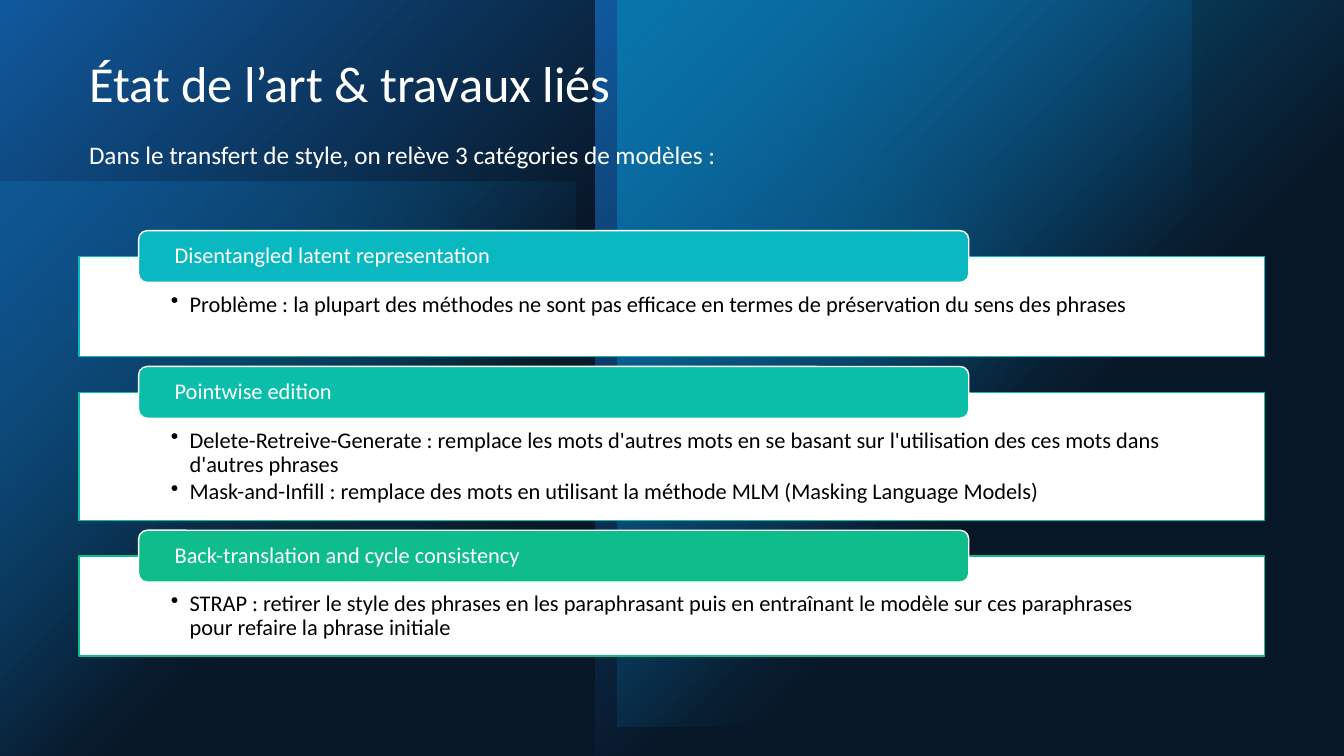
from lxml import etree
from pptx import Presentation
from pptx import util as u
from pptx.dml.color import RGBColor
from pptx.enum import shapes, text
from pptx.oxml import parse_xml
from pptx.oxml.ns import nsdecls, qn

Pt = u.Pt
FONT = "Calibri"
CARDS = [
    ("Disentangled latent representation", "09B8C0", 71.5, [
        "Problème : la plupart des méthodes ne sont pas efficace en termes de "
        "préservation du sens des phrases"]),
    ("Pointwise edition", "0BBEA9", 91.5, [
        "Delete-Retreive-Generate : remplace les mots d'autres mots en se basant sur "
        "l'utilisation des ces mots dans d'autres phrases",
        "Mask-and-Infill : remplace des mots en utilisant la méthode MLM "
        "(Masking Language Models)"]),
    ("Back-translation and cycle consistency", "0EBC8C", 71.5, [
        "STRAP : retirer le style des phrases en les paraphrasant puis en entraînant "
        "le modèle sur ces paraphrases pour refaire la phrase initiale"]),
]


def color(value):
    return RGBColor.from_string(value)


def add_box(s, kind, box, fill, line=None):
    sp = s.shapes.add_shape(kind, *map(Pt, box))
    sp.shadow.inherit = False
    sp.fill.solid()
    sp.fill.fore_color.rgb = color(fill)
    if line:
        sp.line.color.rgb = color(line)
        sp.line.width = Pt(1)
    else:
        sp.line.fill.background()
    return sp


def add_veil(s, kind, box, fill, opacity, soft=0):
    sp = add_box(s, kind, box, fill)
    srgb = sp.fill._xPr.find(qn("a:solidFill"))[0]
    etree.SubElement(srgb, qn("a:alpha"), val=str(opacity * 1000))
    if soft:
        effects = sp._element.spPr.find(qn("a:effectLst"))
        etree.SubElement(effects, qn("a:softEdge"), rad=str(Pt(soft)))


def add_glow(s, box, fill, opacity=100):
    sp = add_box(s, shapes.MSO_SHAPE.RECTANGLE, box, fill)
    solid = sp._element.spPr.find(qn("a:solidFill"))
    stops = "".join(
        f'<a:gs pos="{pos}000"><a:srgbClr val="{fill}">'
        f'<a:alpha val="{alpha}000"/></a:srgbClr></a:gs>'
        for pos, alpha in ((0, opacity), (60, 0)))
    solid.getparent().replace(solid, parse_xml(
        f'<a:gradFill {nsdecls("a")} rotWithShape="1"><a:gsLst>{stops}</a:gsLst>'
        '<a:path path="circle"><a:fillToRect r="100000" b="100000"/></a:path>'
        '</a:gradFill>'))


def add_background(s):
    s.background.fill.solid()
    s.background.fill.fore_color.rgb = color("000000")
    oval = shapes.MSO_SHAPE.OVAL
    add_glow(s, (0, 129.5, 411, 411), "009DD9", 60)
    add_veil(s, oval, (453, 31, 340, 340), "09B8C0", 60, 100)
    add_veil(s, oval, (0, 40, 500, 500), "09B8C0", 20, 100)
    for left in (0, 425.5):
        add_glow(s, (left, 0, 425.5, 540), "0F6FC6")
    add_glow(s, (441, 0, 519, 519), "009DD9")
    add_veil(s, shapes.MSO_SHAPE.RECTANGLE, (0, 0, 960, 540), "153A63", 40)


def write(tf, lines, size, fill, spacing=None, after=0, bullet=False):
    for i, line in enumerate(lines):
        p = tf.add_paragraph() if i else tf.paragraphs[0]
        p.text = line
        p.alignment = text.PP_ALIGN.LEFT
        p.line_spacing = spacing
        p.space_after = Pt(after)
        p.font.name = FONT
        p.font.size = Pt(size)
        p.font.color.rgb = color(fill)
        if bullet:
            pPr = p._p.get_or_add_pPr()
            pPr.set("marL", str(Pt(13.5)))
            pPr.set("indent", str(-Pt(13.5)))
            mark = parse_xml(f'<a:buChar {nsdecls("a")} char="•"/>')
            pPr.insert_element_before(mark, "a:tabLst", "a:defRPr", "a:extLst")


def set_frame(tf, anchor, side, top, bottom):
    tf.word_wrap = True
    tf.vertical_anchor = anchor
    tf.margin_left = tf.margin_right = Pt(side)
    tf.margin_top, tf.margin_bottom = Pt(top), Pt(bottom)


def add_title(s, title):
    sp = s.shapes.title
    sp.left, sp.top, sp.width, sp.height = map(Pt, (56.5, 36.5, 489, 50))
    set_frame(sp.text_frame, text.MSO_ANCHOR.MIDDLE, 7.2, 3.6, 3.6)
    write(sp.text_frame, [title], 36, "FFFFFF", 0.9)
    s.shapes._spTree.append(sp._element)


def add_intro(s, intro):
    tf = s.shapes.add_textbox(*map(Pt, (56.5, 96, 527, 51))).text_frame
    tf.word_wrap = False
    write(tf, [intro], 18, "FFFFFF")


def add_card(s, top, height, heading, accent, bullets):
    card = add_box(s, shapes.MSO_SHAPE.RECTANGLE, (56.5, top, 847, height), "FFFFFF", accent)
    set_frame(card.text_frame, text.MSO_ANCHOR.TOP, 65.5, 26, 8.5)
    write(card.text_frame, bullets, 16, "000000", 0.9, 2.4, bullet=True)
    label = add_box(s, shapes.MSO_SHAPE.ROUNDED_RECTANGLE,
                    (99, top - 18.5, 593, 37), accent, "FFFFFF")
    set_frame(label.text_frame, text.MSO_ANCHOR.MIDDLE, 24, 2, 2)
    write(label.text_frame, [heading], 16, "FFFFFF", 0.9)


def main():
    prs = Presentation()
    prs.slide_width, prs.slide_height = Pt(960), Pt(540)
    s = prs.slides.add_slide(prs.slide_layouts[5])
    add_background(s)
    add_title(s, "État de l’art & travaux liés")
    add_intro(s, "Dans le transfert de style, on relève 3 catégories de modèles :")
    top, gap = 183.25, 25.5
    for heading, accent, height, bullets in CARDS:
        add_card(s, top, height, heading, accent, bullets)
        top += height + gap
    prs.save("out.pptx")


if __name__ == "__main__":
    main()
